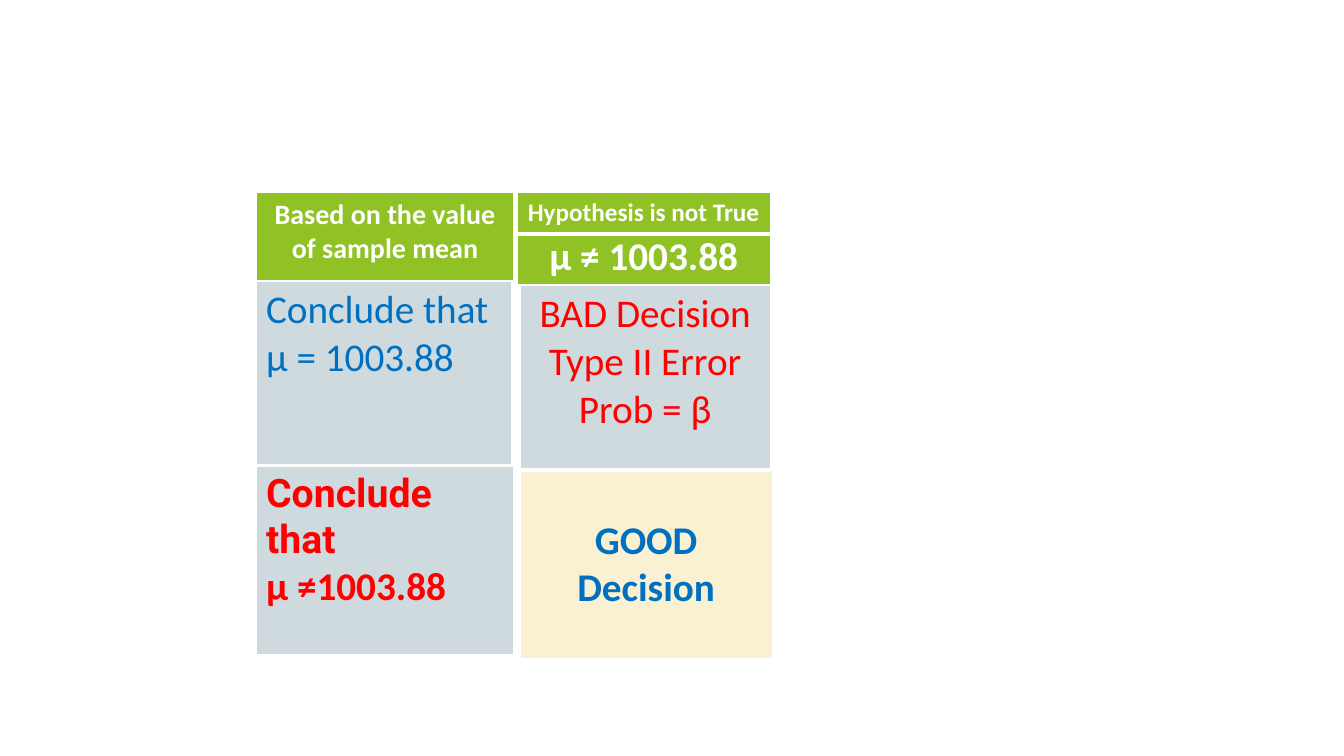
import pptx
import pptx.dml.color
import pptx.enum.text
import pptx.oxml
import pptx.oxml.ns
import pptx.util
from dataclasses import dataclass

Pt = pptx.util.Pt
ALIGN = pptx.enum.text.PP_ALIGN
ANCHOR = pptx.enum.text.MSO_ANCHOR


@dataclass(frozen=True)
class Theme:
    font: str = "Calibri"
    accent_font: str = "Roboto"
    white: str = "FFFFFF"
    green: str = "90C226"
    grey: str = "CFDADF"
    cream: str = "FAF1D2"
    blue: str = "0070C0"
    red: str = "FF0000"
    pale_green: str = "DBE9CD"
    paler_green: str = "EEF4E8"
    label: float = 18
    header: float = 20
    body: float = 28
    thin: float = 1
    thick: float = 3


THEME = Theme()


def set_borders(cell, top, bottom):
    """White cell borders; the widths of top and bottom vary."""
    properties = cell._tc.get_or_add_tcPr()
    sides = (("lnL", THEME.thin), ("lnR", THEME.thin), ("lnT", top), ("lnB", bottom))
    for position, (side, width) in enumerate(sides):
        properties.insert(position, pptx.oxml.parse_xml(
            f'<a:{side} {pptx.oxml.ns.nsdecls("a")} w="{Pt(width)}">'
            f'<a:solidFill><a:srgbClr val="{THEME.white}"/></a:solidFill></a:{side}>'))


def add_grid(slide, left, top, width, heights, fills):
    """One-column table whose first row is closed by a thick border."""
    frame = slide.shapes.add_table(len(heights), 1, Pt(left), Pt(top), Pt(width), Pt(sum(heights)))
    grid = frame.table
    grid.horz_banding = False
    for index, (height, fill) in enumerate(zip(heights, fills)):
        grid.rows[index].height = Pt(height)
        cell = grid.cell(index, 0)
        cell.fill.solid()
        cell.fill.fore_color.rgb = pptx.dml.color.RGBColor.from_string(fill)
        set_borders(cell,
                    THEME.thick if index == 1 else THEME.thin,
                    THEME.thick if index == 0 else THEME.thin)
    return grid


def write(cell, lines, size, color, bold=False, align=ALIGN.CENTER, fonts=None):
    for index, line in enumerate(lines):
        frame = cell.text_frame
        paragraph = frame.paragraphs[0] if index == 0 else frame.add_paragraph()
        paragraph.alignment = align
        run = paragraph.add_run()
        run.text = line
        run.font.name = fonts[index] if fonts else THEME.font
        run.font.size = Pt(size)
        run.font.bold = bold
        run.font.color.rgb = pptx.dml.color.RGBColor.from_string(color)


def add_truth_header(slide, left, top, width):
    """Heading of the right column: the hypothesis and the mean."""
    mean = add_grid(slide, left, top + 25.2, width, [41], [THEME.green])
    write(mean.cell(0, 0), ["μ ≠ 1003.88"], THEME.body, THEME.white, bold=True)
    hypothesis = add_grid(slide, left, top, width, [29.5], [THEME.green])
    write(hypothesis.cell(0, 0), ["Hypothesis is not True"], THEME.label, THEME.white, bold=True)


def add_conclusions(slide, left, top, width):
    """Left column: its heading and the two possible conclusions."""
    base = add_grid(slide, left, top, width, [64, 129.6, 134],
                    [THEME.green, THEME.pale_green, THEME.paler_green])
    write(base.cell(0, 0), ["Based on the value of sample mean"],
          THEME.header, THEME.white, bold=True)
    equal = add_grid(slide, left, top + 63.4, width - 1.4, [131.8], [THEME.grey])
    write(equal.cell(0, 0), ["Conclude that", "μ = 1003.88"],
          THEME.body, THEME.blue, align=ALIGN.LEFT)
    unequal = add_grid(slide, left, top + 195.8, width, [135.4], [THEME.grey])
    write(unequal.cell(0, 0), ["Conclude that", "μ ≠1003.88"], THEME.body, THEME.red,
          bold=True, align=ALIGN.LEFT, fonts=[THEME.accent_font, THEME.font])


def add_outcomes(slide, left, top, width):
    """Right column: the quality of each decision."""
    good = add_grid(slide, left, top + 131.8, width, [135.4], [THEME.cream])
    good.cell(0, 0).vertical_anchor = ANCHOR.MIDDLE
    write(good.cell(0, 0), ["GOOD Decision"], THEME.body, THEME.blue, bold=True)
    bad = add_grid(slide, left, top, width - 1.4, [131.8], [THEME.grey])
    write(bad.cell(0, 0), ["BAD Decision", "Type II Error", "Prob = β"],
          THEME.body, THEME.red)


def main():
    deck = pptx.Presentation()
    deck.slide_width, deck.slide_height = Pt(960), Pt(540)
    slide = deck.slides.add_slide(deck.slide_layouts[6])
    add_truth_header(slide, 369.4, 137.5, 180.7)
    add_conclusions(slide, 182.9, 137.5, 184.3)
    add_outcomes(slide, 371.5, 203.8, 180)
    deck.save("out.pptx")


if __name__ == "__main__":
    main()
